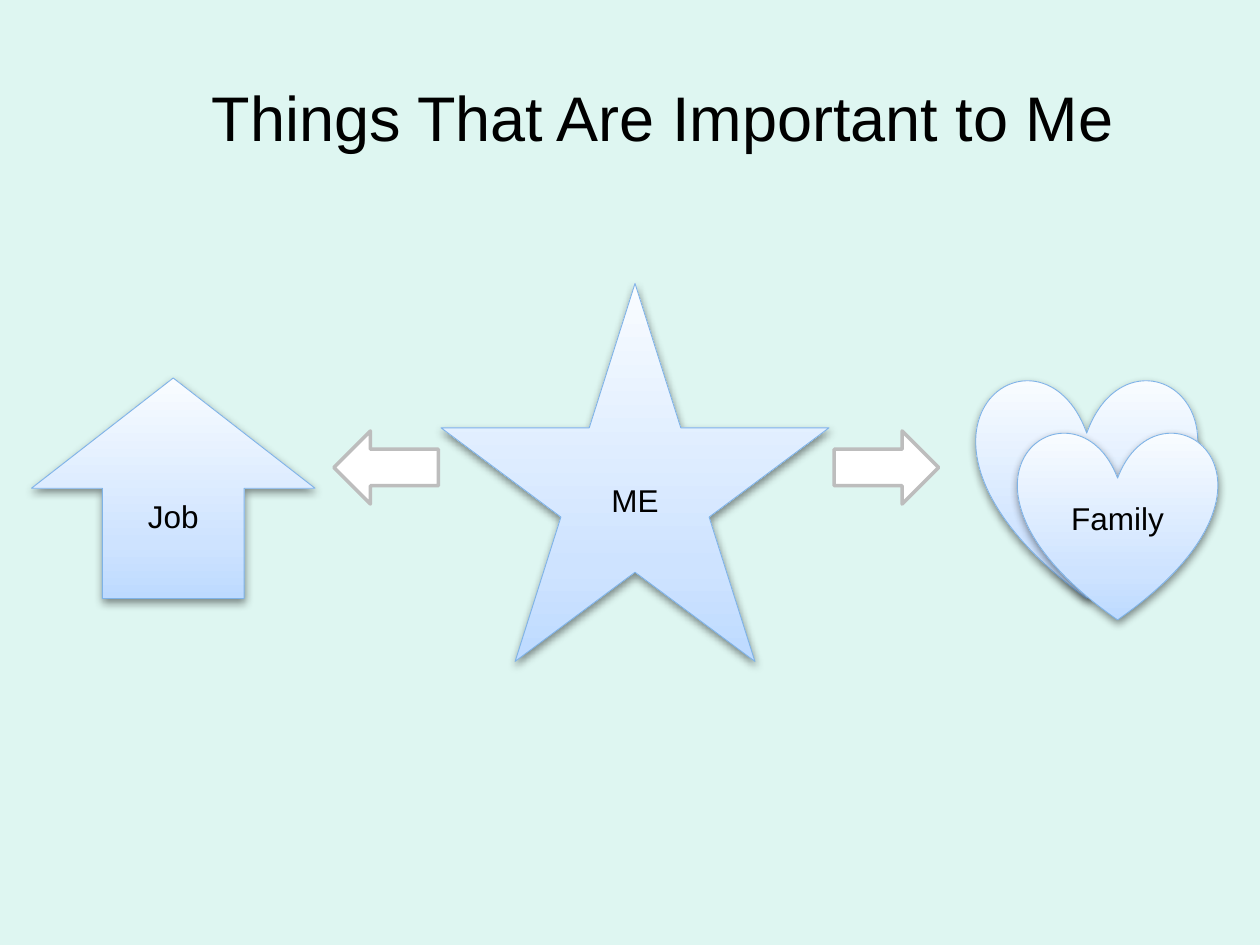
from copy import deepcopy

from lxml import etree
from pptx import Presentation
from pptx.dml.color import RGBColor
from pptx.enum.shapes import MSO_SHAPE
from pptx.enum.text import MSO_ANCHOR, PP_ALIGN
from pptx.oxml import parse_xml
from pptx.oxml.ns import nsdecls, qn
from pptx.util import Inches, Pt

STAR, HEART, HOUSE = MSO_SHAPE.STAR_5_POINT, MSO_SHAPE.HEART, MSO_SHAPE.UP_ARROW
LEFT_ARROW, RIGHT_ARROW = MSO_SHAPE.LEFT_ARROW, MSO_SHAPE.RIGHT_ARROW
LEFT, CENTER, MIDDLE = PP_ALIGN.LEFT, PP_ALIGN.CENTER, MSO_ANCHOR.MIDDLE

MINT = RGBColor(0xDE, 0xF6, 0xF1)
BLACK = RGBColor(0, 0, 0)
WHITE = RGBColor(0xFF, 0xFF, 0xFF)
GREY = RGBColor(0xBD, 0xBD, 0xBD)
BLUE = RGBColor(0x7F, 0xB3, 0xE7)
GRADIENT = [
    (0, RGBColor(0xBD, 0xDA, 0xFF)),
    (0.25, RGBColor(0xCE, 0xE3, 0xFF)),
    (1, RGBColor(0xF9, 0xFC, 0xFF)),
]
FONT = "Arial"
SHADOW = (
    f'<a:outerShdw {nsdecls("a")} blurRad="{Pt(5)}" dist="{Pt(2)}" dir="5400000" '
    'rotWithShape="0"><a:srgbClr val="000000"><a:alpha val="43000"/></a:srgbClr>'
    "</a:outerShdw>"
)


def write(tf, text, size, align):
    """Put one line of black text in a text frame, centred vertically."""
    tf.word_wrap = True
    tf.vertical_anchor = MIDDLE
    p = tf.paragraphs[0]
    p.alignment = align
    r = p.add_run()
    r.text = text
    r.font.name = FONT
    r.font.size = Pt(size)
    r.font.color.rgb = BLACK


def place(slide, kind, box, line, width):
    """Add a preset shape with an outline and no shadow."""
    s = slide.shapes.add_shape(kind, *map(Inches, box))
    s.shadow.inherit = False
    s.line.color.rgb = line
    s.line.width = Pt(width)
    return s


def add_topic(slide, kind, box, label=None):
    """Add a shaded, shadowed shape that stands for one topic."""
    s = place(slide, kind, box, BLUE, 0.5)
    s.fill.gradient()
    s.fill.gradient_angle = 90
    spPr = s._element.spPr
    stops = next(spPr.iter(qn("a:gsLst")))
    stops.append(deepcopy(stops[0]))
    for stop, (position, color) in zip(s.fill.gradient_stops, GRADIENT):
        stop.position = position
        stop.color.rgb = color
    spPr.find(qn("a:effectLst")).append(parse_xml(SHADOW))
    if label:
        write(s.text_frame, label, 18, CENTER)


def add_arrow(slide, kind, box):
    """Add a white block arrow with a grey outline."""
    s = place(slide, kind, box, GREY, 2)
    s.fill.solid()
    s.fill.fore_color.rgb = WHITE


def add_title(slide, box, text):
    """Move the title placeholder to its box and fill it."""
    s = slide.shapes.title
    s.left, s.top, s.width, s.height = map(Inches, box)
    write(s.text_frame, text, 36, LEFT)


def add_family(slide, box):
    """Add two overlapping hearts, the front one labelled."""
    x, y, w, h = box
    add_topic(slide, HEART, (x, y, w, h))
    add_topic(slide, HEART, (x + 0.33, y + 0.42, 1.58, 1.5), "Family")


def main():
    """Build the slide and save it."""
    prs = Presentation()
    prs.slide_width, prs.slide_height = Inches(10), Inches(7.5)
    slide = prs.slides.add_slide(prs.slide_layouts[5])
    slide.background.fill.solid()
    slide.background.fill.fore_color.rgb = MINT
    add_title(slide, (1.58, 0.3, 8, 1.25), "Things That Are Important to Me")
    add_topic(slide, STAR, (3.5, 2.25, 3.08, 3), "ME")
    for kind, left in ((RIGHT_ARROW, 6.62), (LEFT_ARROW, 2.65)):
        add_arrow(slide, kind, (left, 3.42, 0.83, 0.58))
    add_topic(slide, HOUSE, (0.25, 3, 2.25, 1.75), "Job")
    add_family(slide, (7.75, 3, 1.75, 1.75))
    prs.save("out.pptx")


if __name__ == "__main__":
    main()
